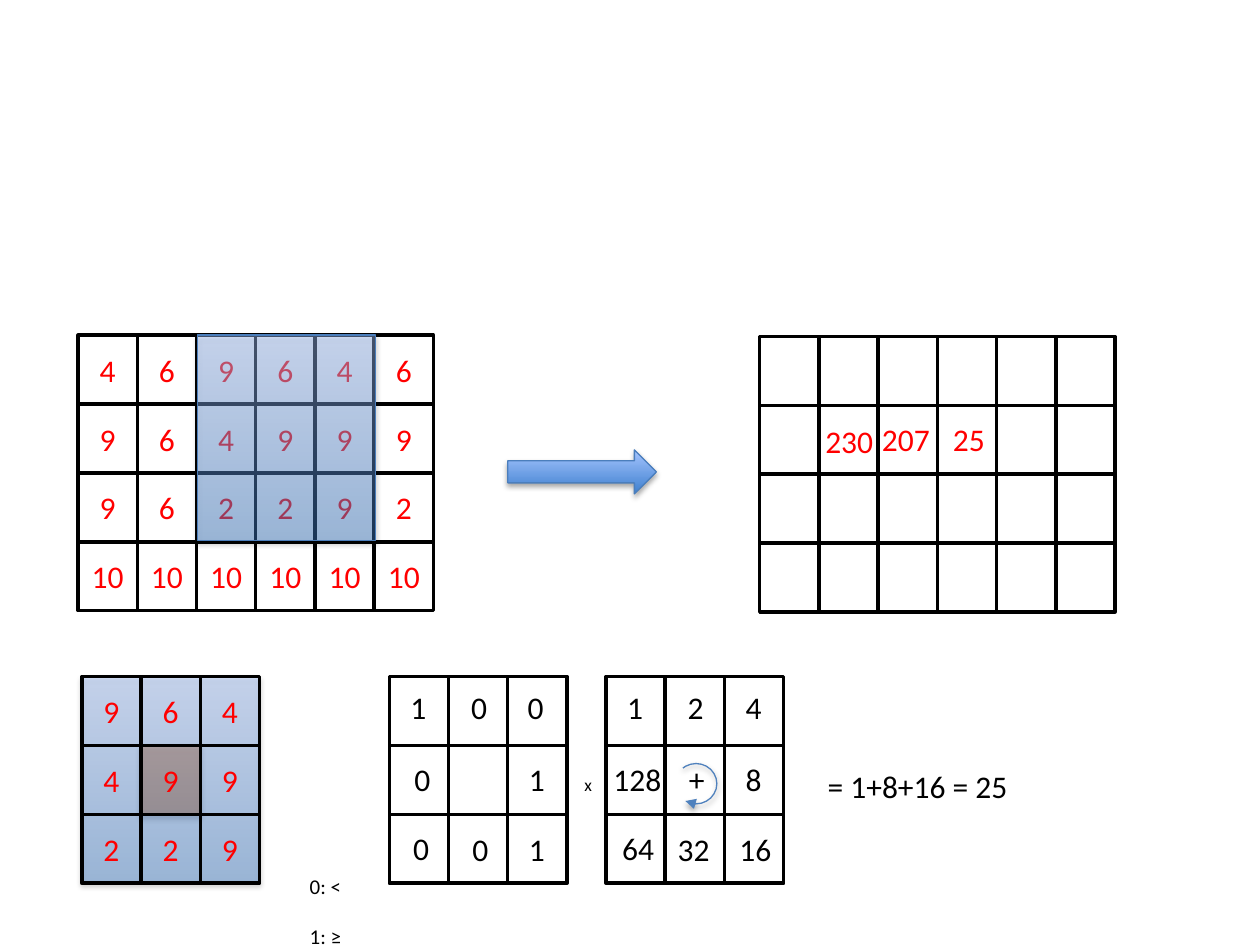
"""Build a slide that works through a local binary pattern on a small pixel grid."""
import pptx
import pptx.dml.color
import pptx.enum.shapes
import pptx.enum.text
import pptx.oxml
import pptx.oxml.ns
import pptx.util
from pptx.util import Inches

COLORS = {
    "black": "000000",
    "red": "FF0000",
    "orange": "E46C0A",
    "blue_dark": "3F80CE",
    "blue_light": "A4C4FF",
    "blue_edge": "4B7EBC",
    "blue_arc": "4F81BD",
}
RGB = {name: pptx.dml.color.RGBColor.from_string(value) for name, value in COLORS.items()}
SHAPE = pptx.enum.shapes.MSO_SHAPE
ALIGN = pptx.enum.text.PP_ALIGN
ANCHOR = pptx.enum.text.MSO_ANCHOR
AUTO_SIZE = pptx.enum.text.MSO_AUTO_SIZE
NAMESPACE = pptx.oxml.ns.nsdecls("a")
CELL_WIDTH = 0.47
CELL_HEIGHT = 1.64 / 3


def write_text(shape, lines, color, size=18, centered=False):
    frame = shape.text_frame
    frame.text = lines
    frame.word_wrap = centered
    frame.vertical_anchor = ANCHOR.MIDDLE if centered else ANCHOR.TOP
    if not centered:
        frame.auto_size = AUTO_SIZE.SHAPE_TO_FIT_TEXT
    for paragraph in frame.paragraphs:
        paragraph.alignment = ALIGN.CENTER if centered else ALIGN.LEFT
        paragraph.font.name = "Calibri"
        paragraph.font.size = pptx.util.Pt(size)
        paragraph.font.color.rgb = RGB[color]


def finish_shape(shape, edge, opacity=100):
    properties = shape._element.spPr
    for fill_color in properties.iter(pptx.oxml.ns.qn("a:srgbClr")):
        fill_color.append(pptx.oxml.parse_xml(f'<a:alpha {NAMESPACE} val="{opacity * 1000}"/>'))
    shape.line.color.rgb = RGB[edge]
    shape.line.width = pptx.util.Pt(0.75)
    shape.shadow.inherit = False
    properties.find(pptx.oxml.ns.qn("a:effectLst")).append(pptx.oxml.parse_xml(
        f'<a:outerShdw {NAMESPACE} blurRad="40000" dist="23000" dir="5400000" rotWithShape="0">'
        '<a:srgbClr val="000000"><a:alpha val="35000"/></a:srgbClr></a:outerShdw>'))


presentation = pptx.Presentation()
presentation.slide_width = Inches(10)
presentation.slide_height = Inches(7.5)
slide = presentation.slides.add_slide(presentation.slide_layouts[6])
shapes = slide.shapes

center_pixel = shapes.add_shape(
    SHAPE.RECTANGLE, Inches(1.12), Inches(5.92), Inches(CELL_WIDTH), Inches(CELL_HEIGHT))
center_pixel.fill.solid()
center_pixel.fill.fore_color.rgb = RGB["orange"]
finish_shape(center_pixel, "blue_edge", 50)

pixel_rows = [
    ["4", "6", "9", "6", "4", "6"],
    ["9", "6", "4", "9", "9", "9"],
    ["9", "6", "2", "2", "9", "2"],
    ["10"] * 6,
]
window_rows = [row[2:5] for row in pixel_rows[:3]]
empty_kernel = [[""] * 3 for _ in range(3)]
result_rows = [[""] * 6 for _ in range(4)]
result_rows[1][1] = None
glossy_shapes = [
    (SHAPE.RECTANGLE, 1.57, 2.66, 1.41, 1.63, 41),
    (SHAPE.RECTANGLE, 0.65, 5.37, 1.41, 1.63, 41),
    (SHAPE.RIGHT_ARROW, 4.03, 3.57, 1.18, 0.35, 100),
]
grids = [
    (0.62, 2.66, pixel_rows, []),
    (0.65, 5.37, window_rows, glossy_shapes),
    (3.09, 5.37, empty_kernel, []),
    (4.81, 5.37, empty_kernel, []),
    (6.03, 2.67, result_rows, []),
]
for grid_left, grid_top, rows, shapes_below in grids:
    for kind, left, top, width, height, opacity in shapes_below:
        glossy = shapes.add_shape(kind, Inches(left), Inches(top), Inches(width), Inches(height))
        glossy.fill.gradient()
        glossy.fill.gradient_angle = 90
        for stop, position, color in zip(
                glossy.fill.gradient_stops, (0, 1), ("blue_dark", "blue_light")):
            stop.position = position
            stop.color.rgb = RGB[color]
        finish_shape(glossy, "blue_edge", opacity)
    for row_index, row in enumerate(rows):
        for column_index, value in enumerate(row):
            if value is None:
                continue
            cell = shapes.add_shape(
                SHAPE.RECTANGLE,
                Inches(grid_left + column_index * CELL_WIDTH),
                Inches(grid_top + row_index * CELL_HEIGHT),
                Inches(CELL_WIDTH), Inches(CELL_HEIGHT))
            cell.fill.background()
            cell.line.color.rgb = RGB["black"]
            cell.line.width = pptx.util.Pt(2)
            cell.shadow.inherit = False
            if value:
                write_text(cell, value, "red", centered=True)

labels = [
    ("1", 3.16, 5.41), ("0", 3.64, 5.41), ("0", 4.09, 5.41),
    ("0", 3.19, 5.98), ("1", 4.1, 5.98),
    ("0", 3.18, 6.53), ("0", 3.65, 6.54), ("1", 4.1, 6.54),
    ("1", 4.88, 5.41), ("2", 5.36, 5.41), ("4", 5.82, 5.41),
    ("128", 4.77, 5.98), ("+", 5.37, 5.98), ("8", 5.82, 5.98),
    ("64", 4.84, 6.53), ("32", 5.28, 6.54), ("16", 5.77, 6.54),
    ("= 1+8+16 = 25", 6.47, 6.04),
]
for text, left, top in labels:
    label = shapes.add_textbox(
        Inches(left), Inches(top), Inches(0.2 + 0.13 * len(text)), Inches(0.4))
    write_text(label, text, "black")

times_sign = shapes.add_textbox(Inches(4.54), Inches(6.09), Inches(0.26), Inches(0.27))
write_text(times_sign, "x", "black", 10)

threshold_key = shapes.add_textbox(Inches(2.36), Inches(6.88), Inches(0.45), Inches(0.5))
write_text(threshold_key, "0: <\n1: ≥", "black", 12)
threshold_key.text_frame.paragraphs[1].space_before = pptx.util.Pt(14.6)

turn_arrow = shapes.add_shape(SHAPE.ARC, Inches(5.36), Inches(6.06), Inches(0.33), Inches(0.32))
turn_arrow.adjustments[0] = 138
turn_arrow.adjustments[1] = 73
turn_arrow.fill.background()
finish_shape(turn_arrow, "blue_arc")
turn_arrow.line._get_or_add_ln().append(
    pptx.oxml.parse_xml(f'<a:tailEnd {NAMESPACE} type="triangle"/>'))

for text, left, top in [("230", 6.42, 3.22), ("207", 6.87, 3.21), ("25", 7.37, 3.21)]:
    result = shapes.add_textbox(Inches(left), Inches(top), Inches(0.64), Inches(0.55))
    write_text(result, text, "red", centered=True)

presentation.save("out.pptx")
